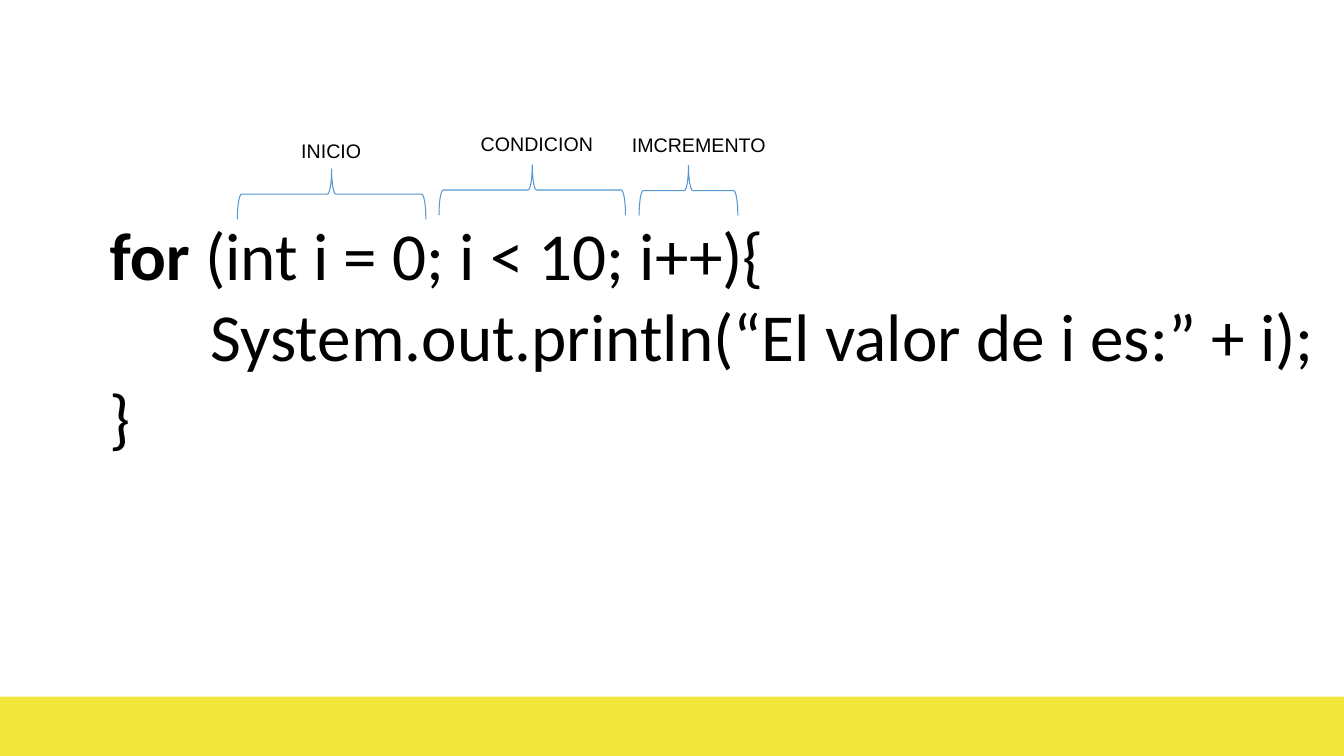
from pptx import Presentation
from pptx.dml.color import RGBColor
from pptx.enum.shapes import MSO_SHAPE as Shape
from pptx.enum.text import MSO_AUTO_SIZE as AutoSize, PP_ALIGN as Align
from pptx.util import Inches, Pt

YELLOW = RGBColor(0xF4, 0xE7, 0x3C)
BLUE = RGBColor(0x55, 0x97, 0xD3)
BLACK = RGBColor(0, 0, 0)

# Grid of 0.1 inch cells
CELL = Inches(0.1)
COLUMNS, ROWS = 133.33, 75


def cells(count):
    return round(count * CELL)


class SlideBuilder:
    code_font, code_size = "Calibri", 48
    label_font, label_size = "Arial", 14

    def __init__(self, presentation):
        self.slide = presentation.slides.add_slide(presentation.slide_layouts[6])

    def shape(self, kind, column, row, width, height):
        shape = self.slide.shapes.add_shape(kind, *map(cells, (column, row, width, height)))
        shape.shadow.inherit = False
        return shape

    def band(self, row, height):
        band = self.shape(Shape.RECTANGLE, 0, row, COLUMNS, height)
        band.fill.solid()
        band.fill.fore_color.rgb = YELLOW
        band.line.fill.background()

    def brace(self, center, row, span, depth=5):
        """Brace lying on its side: it spans columns and points up."""
        middle = row + depth / 2
        brace = self.shape(Shape.RIGHT_BRACE, center - depth / 2, middle - span / 2, depth, span)
        brace.rotation = 270
        brace.adjustments[0] = 0.083
        brace.fill.background()
        brace.line.color.rgb = BLUE
        brace.line.width = Pt(0.75)

    def text_frame(self, column, row, width, height):
        box = self.slide.shapes.add_textbox(*map(cells, (column, row, width, height)))
        box.text_frame.word_wrap = True
        return box.text_frame

    def run(self, paragraph, text, font, size, bold=False):
        run = paragraph.add_run()
        run.text = text
        run.font.name, run.font.size, run.font.bold = font, Pt(size), bold
        run.font.color.rgb = BLACK

    def label(self, text, center, row, width):
        frame = self.text_frame(center - width / 2, row, width, 3.4)
        frame.auto_size = AutoSize.SHAPE_TO_FIT_TEXT
        self.run(frame.paragraphs[0], text, self.label_font, self.label_size)

    def code(self, lines, column, row, width, height):
        frame = self.text_frame(column, row, width, height)
        for number, (indent, runs) in enumerate(lines):
            paragraph = frame.add_paragraph() if number else frame.paragraphs[0]
            paragraph.alignment = Align.JUSTIFY
            properties = paragraph._p.get_or_add_pPr()
            properties.set("marL", str(cells(indent)))
            properties.set("indent", "0")
            for text, bold in runs:
                self.run(paragraph, text, self.code_font, self.code_size, bold)


presentation = Presentation()
presentation.slide_width, presentation.slide_height = cells(COLUMNS), cells(ROWS)
builder = SlideBuilder(presentation)

# Bottom band
builder.band(69.1, 5.9)

# Loop code: indent in cells, then (text, bold) runs
builder.code([
    (5, [("for ", True), ("(int i = 0; i < 10; i++){", False)]),
    (15, [("System.out.println(“El valor de i es:” + i);", False)]),
    (5, [("}", False)]),
], 4.9, 20.7, 127.3, 42.5)

# Parts of the loop header: brace center, row, span; label center, row, width
PARTS = [
    ("INICIO", (32.9, 16.75, 18.7), (32.9, 13.3, 8)),
    ("CONDICION", (52.8, 16.35, 18.5), (53.35, 12.6, 13.3)),
    ("IMCREMENTO", (68.3, 16.4, 9.8), (69.4, 12.7, 15.4)),
]
for name, brace_place, label_place in PARTS:
    builder.brace(*brace_place)
    builder.label(name, *label_place)

presentation.save("out.pptx")
